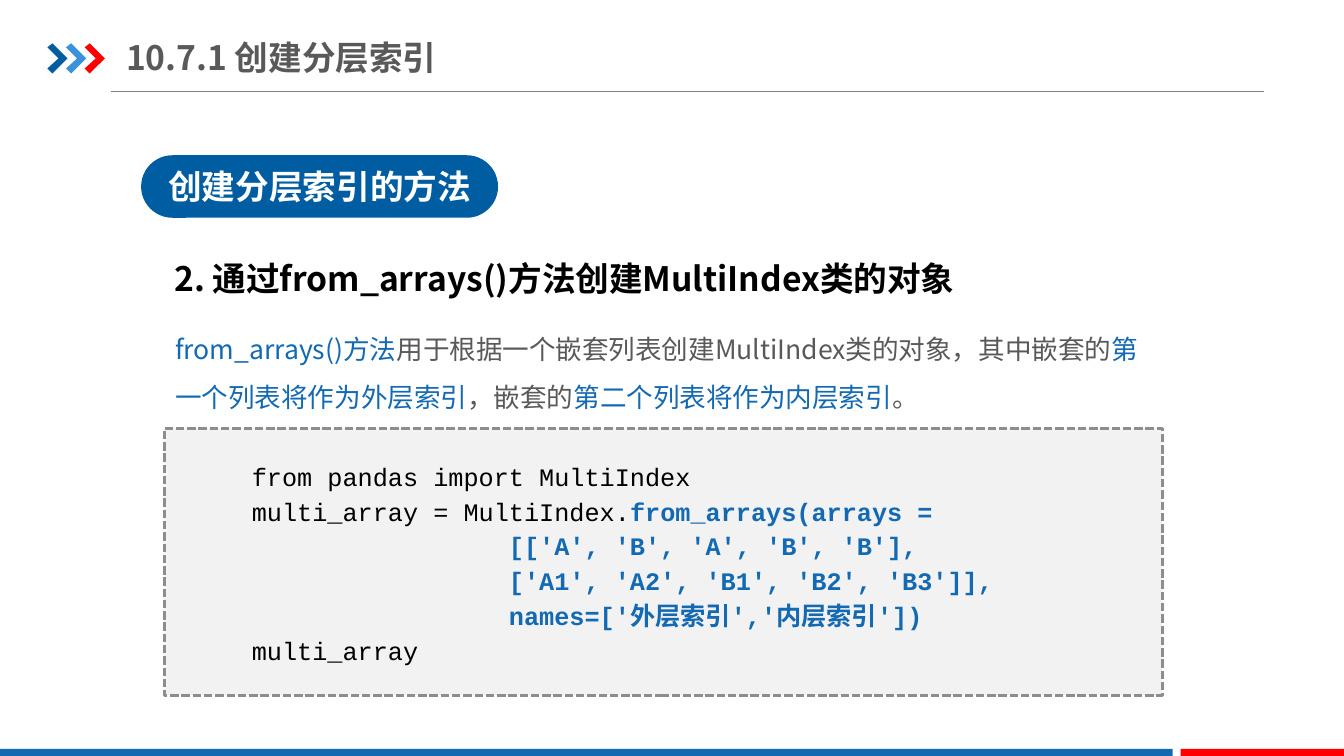
from lxml import etree
from pptx import Presentation
from pptx.dml.color import RGBColor
from pptx.enum.dml import MSO_LINE
from pptx.enum.shapes import MSO_CONNECTOR, MSO_SHAPE
from pptx.enum.text import MSO_ANCHOR, MSO_AUTO_SIZE, PP_ALIGN
from pptx.oxml.ns import qn
from pptx.util import Inches, Pt

LEFT, CENTER = PP_ALIGN.LEFT, PP_ALIGN.CENTER
TOP, MIDDLE = MSO_ANCHOR.TOP, MSO_ANCHOR.MIDDLE
RECT, ROUND_RECT = MSO_SHAPE.RECTANGLE, MSO_SHAPE.ROUNDED_RECTANGLE
STRAIGHT, DASH = MSO_CONNECTOR.STRAIGHT, MSO_LINE.SQUARE_DOT
NO_AUTOFIT = MSO_AUTO_SIZE.NONE

SANS, MONO = "Noto Sans CJK SC", "Courier New"
NAVY, BLUE, SKY, RED = "005DA2", "1369B2", "3992DB", "FF0000"
BLACK, WHITE, GREY = "000000", "FFFFFF", "595959"


def rgb(value):
    return RGBColor.from_string(value)


def write(tf, paragraphs, size=24, font=SANS, color=BLACK, bold=False, align=LEFT,
          anchor=TOP, spacing=None, indent=0, inset=(0.1, 0.05)):
    tf.word_wrap = True
    tf.auto_size = NO_AUTOFIT
    tf.vertical_anchor = anchor
    tf.margin_left = tf.margin_right = Inches(inset[0])
    tf.margin_top = tf.margin_bottom = Inches(inset[1])
    for i, runs in enumerate(paragraphs):
        p = tf.add_paragraph() if i else tf.paragraphs[0]
        p.alignment = align
        if spacing:
            p.line_spacing = spacing
        if indent:
            p._p.get_or_add_pPr().set("indent", str(Inches(indent)))
        for text, run_color, run_bold in runs:
            r = p.add_run()
            r.text = text
            r.font.name = font
            r.font.size = Pt(size)
            r.font.bold = bold or run_bold
            r.font.color.rgb = rgb(run_color or color)
            ea = etree.SubElement(r._r.get_or_add_rPr(), qn("a:ea"))
            ea.set("typeface", SANS)


def plain(text, color=None, bold=False):
    return [(text, color, bold)]


class Deck:
    def __init__(self):
        self.prs = Presentation()
        self.prs.slide_width, self.prs.slide_height = Inches(13.33), Inches(7.5)
        self.s = self.prs.slides.add_slide(self.prs.slide_layouts[5])

    def paint(self, sp, fill, line=None):
        sp.shadow.inherit = False
        sp.fill.solid()
        sp.fill.fore_color.rgb = rgb(fill)
        if line:
            sp.line.color.rgb = rgb(line)
            sp.line.width = Pt(2)
            sp.line.dash_style = DASH
        else:
            sp.line.fill.background()
        return sp

    def title(self, box, text, **style):
        sp = self.s.shapes.title
        sp.left, sp.top, sp.width, sp.height = map(Inches, box)
        write(sp.text_frame, [plain(text)], **style)

    def shape(self, kind, box, fill, line=None):
        return self.paint(self.s.shapes.add_shape(kind, *map(Inches, box)), fill, line)

    def pill(self, box, text, fill):
        sp = self.shape(ROUND_RECT, box, fill)
        sp.adjustments[0] = 0.5
        write(sp.text_frame, [plain(text)], color=WHITE, bold=True, align=CENTER, anchor=MIDDLE)

    def text(self, box, paragraphs, **style):
        sp = self.s.shapes.add_textbox(*map(Inches, box))
        write(sp.text_frame, paragraphs, **style)

    def rule(self, x1, x2, y):
        c = self.s.shapes.add_connector(STRAIGHT, *map(Inches, (x1, y, x2, y)))
        c.line.color.rgb = rgb("808080")
        c.line.width = Pt(0.75)
        etree.SubElement(c._element.spPr, qn("a:effectLst"))

    def chevron(self, x, y, fill):
        outline = [(0, 0.04), (0.05, 0), (0.2, 0.15), (0.05, 0.3), (0, 0.25), (0.11, 0.15)]
        points = [(Inches(x + dx), Inches(y + dy)) for dx, dy in outline]
        fb = self.s.shapes.build_freeform(*points[0])
        fb.add_line_segments(points[1:], close=True)
        self.paint(fb.convert_to_shape(), fill)


def main():
    deck = Deck()
    deck.rule(1.1, 12.54, 0.91)
    for i, color in enumerate((NAVY, SKY, RED)):
        deck.chevron(0.47 + 0.185 * i, 0.43, color)
    deck.shape(RECT, (0, 7.43, 11.63, 0.09), BLUE)
    deck.shape(RECT, (11.71, 7.43, 1.63, 0.09), RED)

    deck.title((1.25, 0.29, 4.55, 0.55), "10.7.1 创建分层索引",
               color=GREY, bold=True, anchor=MIDDLE, inset=(0, 0.07))
    deck.pill((1.4, 1.54, 3.54, 0.62), "创建分层索引的方法", NAVY)

    deck.shape(RECT, (1.63, 4.25, 9.9, 2.65), "F2F2F2", "8D8D8D")
    pad = " " * 17
    arguments = ["[['A', 'B', 'A', 'B', 'B'],",
                 "['A1', 'A2', 'B1', 'B2', 'B3']],",
                 "names=['外层索引','内层索引'])"]
    code = [plain("from pandas import MultiIndex"),
            plain("multi_array = MultiIndex.") + plain("from_arrays(arrays =", BLUE, True),
            *[plain(pad + a, BLUE, True) for a in arguments],
            plain("multi_array")]
    deck.text((2.11, 4.48, 8.94, 2.19), code, size=18, font=MONO, spacing=1.15, indent=0.29)

    deck.text((1.63, 2.51, 8.01, 0.5),
              [plain("2. 通过from_arrays()方法创建MultiIndex类的对象")], bold=True)
    summary = (plain("from_arrays()方法", BLUE)
               + plain("用于根据一个嵌套列表创建MultiIndex类的对象，其中嵌套的")
               + plain("第一个列表将作为外层索引", BLUE)
               + plain("，嵌套的")
               + plain("第二个列表将作为内层索引", BLUE)
               + plain("。"))
    deck.text((1.64, 3.1, 9.89, 1.06), [summary], size=19, color=GREY, spacing=1.5)

    deck.prs.save("out.pptx")


if __name__ == "__main__":
    main()
